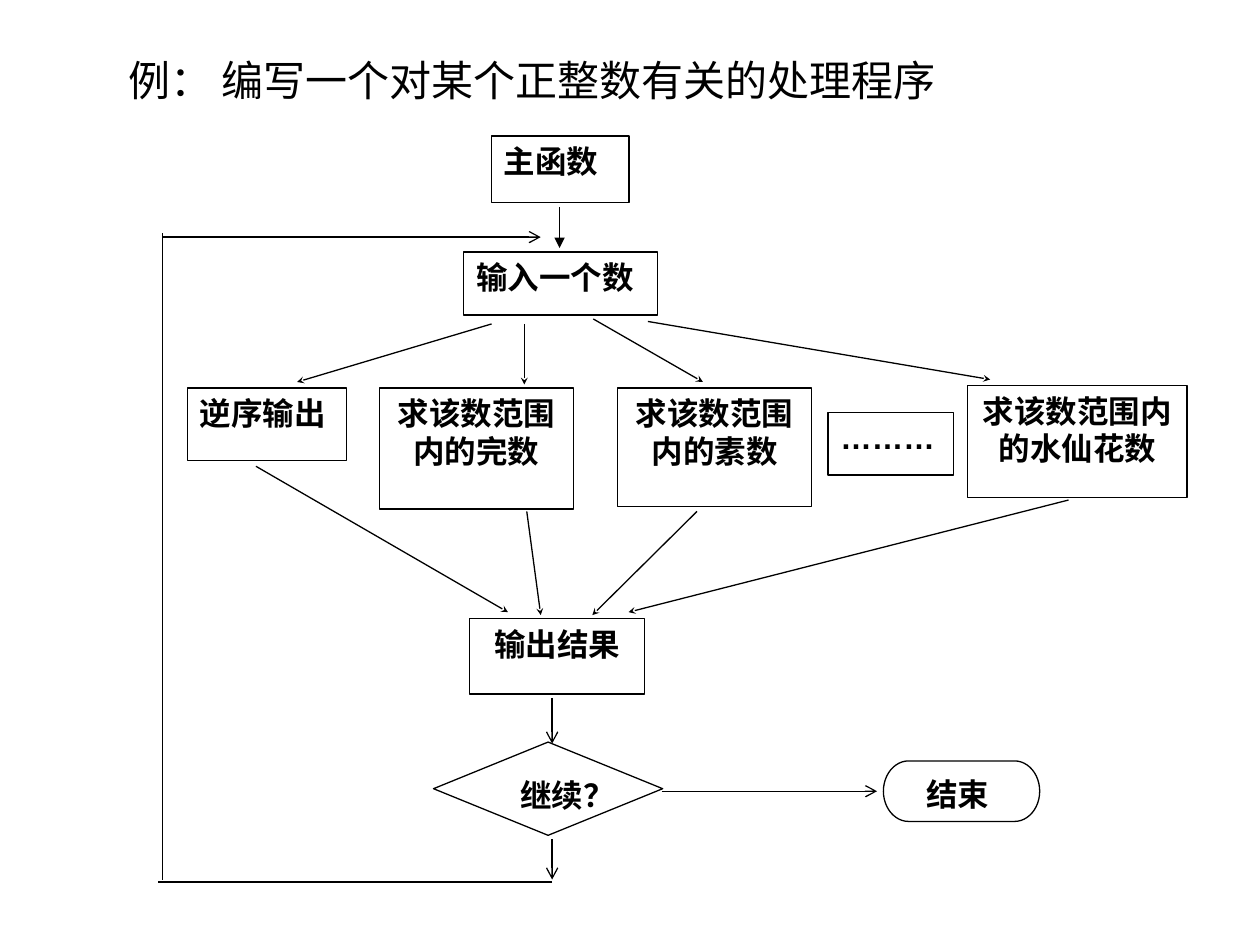
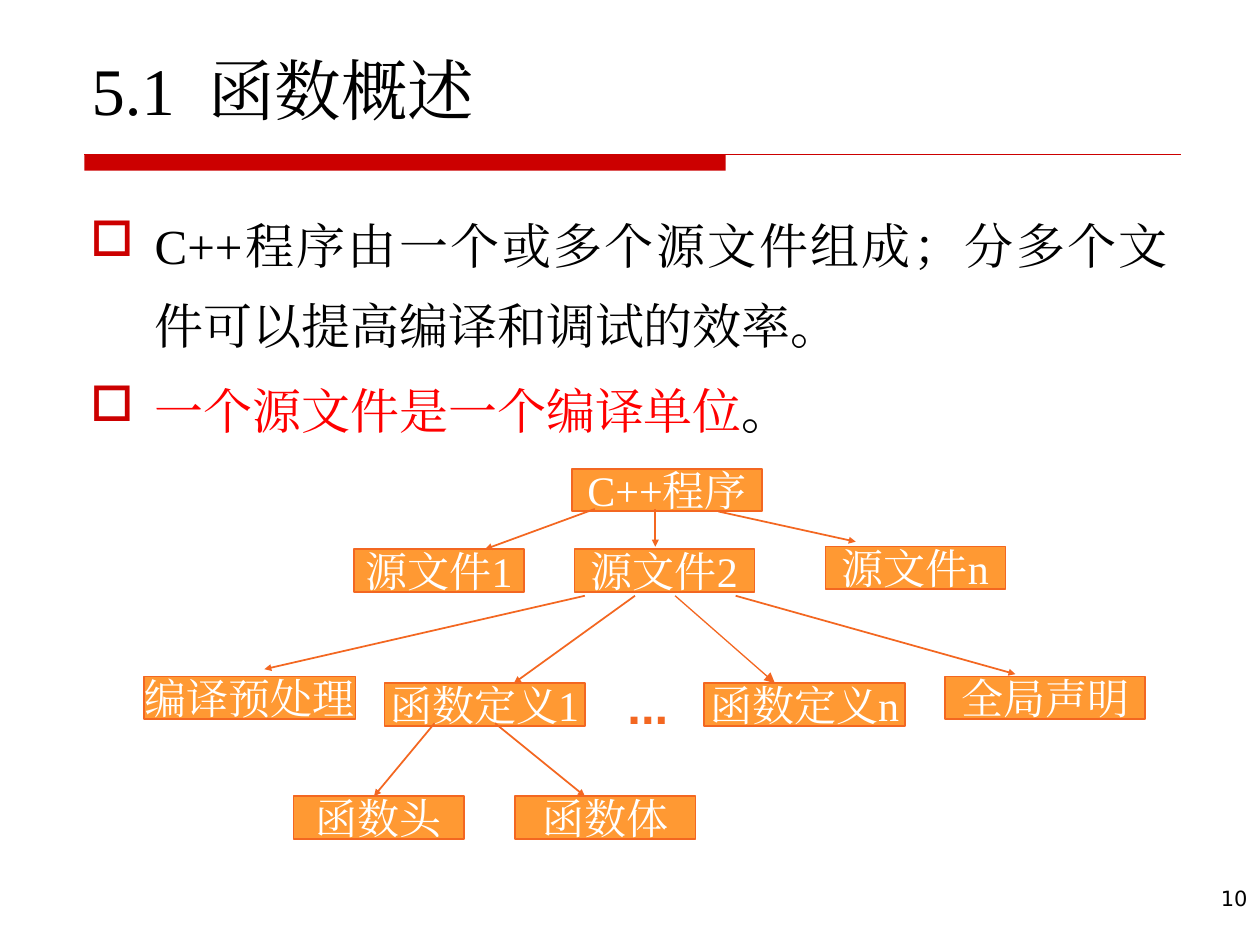
"""Build two slides: a flowchart for number processing and the structure of a C++ program."""
from lxml import etree
from pptx import Presentation
from pptx.dml.color import RGBColor
from pptx.enum import lang, shapes, text
from pptx.oxml import ns
from pptx.util import Cm, Pt

BLACK, WHITE, RED = "000000", "FFFFFF", "CC0000"
BRIGHT_RED, ORANGE, DARK_ORANGE = "FF0000", "FF9933", "F36721"
SERIF, SANS, CJK = "Times New Roman", "Arial", "Noto Sans CJK SC"
LEFT, CENTER = text.PP_ALIGN.LEFT, text.PP_ALIGN.CENTER
JUSTIFY, RIGHT = text.PP_ALIGN.JUSTIFY, text.PP_ALIGN.RIGHT
TOP, MIDDLE, BOTTOM = text.MSO_ANCHOR.TOP, text.MSO_ANCHOR.MIDDLE, text.MSO_ANCHOR.BOTTOM
SHAPE = shapes.MSO_SHAPE
colour = RGBColor.from_string


def add_box(slide, place, content="", kind=None, size=18, font=SANS, ink=BLACK, bold=False,
            align=JUSTIFY, anchor=TOP, wrap=True, fill=None, line=BLACK, weight=0.75):
    """Add a text box, or a preset shape if a kind is given."""
    lengths = [Cm(length) for length in place]
    if kind is None:
        shape = slide.shapes.add_textbox(*lengths)
    else:
        shape = slide.shapes.add_shape(kind, *lengths)
        shape.shadow.inherit = False
        shape.fill.background()
        if fill:
            shape.fill.solid()
            shape.fill.fore_color.rgb = colour(fill)
        shape.line.color.rgb = colour(line)
        shape.line.width = Pt(weight)
    frame = shape.text_frame
    frame.word_wrap = wrap
    frame.vertical_anchor = anchor
    frame.text = content
    for paragraph in frame.paragraphs:
        paragraph.alignment = align
        for run in paragraph.runs:
            run.font.size = Pt(size)
            run.font.bold = bold
            run.font.color.rgb = colour(ink)
            run.font.name = font
            run.font.language_id = lang.MSO_LANGUAGE_ID.SIMPLIFIED_CHINESE
            etree.SubElement(run.font._element, ns.qn("a:ea"), typeface=font)
    return shape


def add_line(slide, ends, ink=BLACK, weight=0.75, head=None, head_size="med"):
    """Add a straight line, with an arrowhead at its end if one is named."""
    line = slide.shapes.add_connector(
        shapes.MSO_CONNECTOR.STRAIGHT, *[Cm(length) for length in ends])
    line.line.color.rgb = colour(ink)
    line.line.width = Pt(weight)
    properties = line._element.spPr
    if head:
        etree.SubElement(properties.find(ns.qn("a:ln")), ns.qn("a:tailEnd"),
                         type=head, w=head_size, len=head_size)
    etree.SubElement(properties, ns.qn("a:effectLst"))


presentation = Presentation()
presentation.slide_width, presentation.slide_height = Cm(25.4), Cm(19.05)
blank = presentation.slide_layouts[6]

flowchart = presentation.slides.add_slide(blank)
add_box(flowchart, (2.34, 0.98, 20.12, 1.9), "例： 编写一个对某个正整数有关的处理程序",
        size=24, font=CJK, align=LEFT)

steps = [
    ((9.91, 2.74, 2.77, 1.35), "主函数", JUSTIFY),
    ((9.35, 5.08, 3.91, 1.27), "输入一个数", JUSTIFY),
    ((3.78, 7.82, 3.2, 1.47), "逆序输出", JUSTIFY),
    ((7.65, 7.82, 3.91, 2.44), "求该数范围内的完数", CENTER),
    ((12.45, 7.82, 3.91, 2.39), "求该数范围内的素数", CENTER),
    ((16.69, 8.31, 2.54, 1.27), "………", JUSTIFY),
    ((19.51, 7.77, 4.42, 2.26), "求该数范围内的水仙花数", CENTER),
    ((9.47, 12.47, 3.53, 1.52), "输出结果", CENTER),
]
for place, label, align in steps:
    add_box(flowchart, place, label, SHAPE.RECTANGLE, bold=True, align=align)

add_box(flowchart, (8.74, 14.96, 4.62, 1.88), kind=SHAPE.FLOWCHART_DECISION)
add_box(flowchart, (10.24, 15.52, 2.82, 1.4), "继续？", bold=True)
add_box(flowchart, (17.81, 15.34, 3.15, 1.22), kind=SHAPE.FLOWCHART_TERMINATOR)
add_box(flowchart, (18.42, 15.49, 2.36, 1.22), "结束", bold=True)

branches = [
    (9.91, 6.53, 5.99, 7.7),
    (10.57, 6.53, 10.57, 7.75),
    (11.96, 6.43, 14.17, 7.7),
    (13.06, 6.48, 19.96, 7.65),
    (5.16, 9.4, 10.24, 12.34),
    (10.62, 10.31, 10.9, 12.4),
    (14.05, 10.31, 11.94, 12.4),
    (21.54, 10.08, 12.67, 12.34),
]
for ends in branches:
    add_line(flowchart, ends, head="stealth", head_size="sm")

flow_lines = [
    ((11.28, 4.17, 11.28, 5), "triangle"),
    ((11.13, 14.07, 11.13, 14.99), "arrow"),
    ((11.13, 16.92, 11.13, 17.73), "arrow"),
    ((11.13, 17.78, 3.18, 17.78), None),
    ((3.28, 17.73, 3.28, 4.7), None),
    ((3.28, 4.78, 10.9, 4.78), "arrow"),
    ((13.34, 15.95, 17.68, 15.95), "arrow"),
]
for ends, head in flow_lines:
    add_line(flowchart, ends, head=head)

overview = presentation.slides.add_slide(blank)
band = add_box(overview, (1.7, 3.12, 12.93, 0.32), kind=SHAPE.RECTANGLE, fill=RED)
band.line.fill.background()
add_line(overview, (1.7, 3.12, 23.8, 3.12), RED)
add_box(overview, (19.96, 17.73, 5.44, 1.32), "10", size=12, font="DejaVu Sans", align=RIGHT)
add_box(overview, (1.6, 0.84, 22.23, 1.88), "5.1  函数概述", size=38, font=SERIF,
        align=LEFT, anchor=BOTTOM)

points = add_box(overview, (1.57, 3.81, 22.23, 13.79),
                 "C++程序由一个或多个源文件组成；分多个文件可以提高编译和调试的效率。\n"
                 "一个源文件是一个编译单位", size=28, font=SERIF)
first_point, second_point = points.text_frame.paragraphs
second_point.space_before = Pt(3.5)
for paragraph in (first_point, second_point):
    paragraph.line_spacing = 1.35
    properties = paragraph._p.get_or_add_pPr()
    properties.set("marL", str(Cm(1.3)))
    properties.set("indent", str(Cm(-1.3)))
    bullet_colour = etree.SubElement(properties, ns.qn("a:buClr"))
    etree.SubElement(bullet_colour, ns.qn("a:srgbClr"), val=RED)
    etree.SubElement(properties, ns.qn("a:buChar"), char="□")
second_point.runs[0].font.color.rgb = colour(BRIGHT_RED)
full_stop = second_point.add_run()
full_stop.text = "。"
full_stop.font.size = Pt(28)
full_stop.font.bold = True
full_stop.font.name = SERIF
full_stop.font.color.rgb = colour(BLACK)
full_stop.font.language_id = lang.MSO_LANGUAGE_ID.SIMPLIFIED_CHINESE
etree.SubElement(full_stop.font._element, ns.qn("a:ea"), typeface=SERIF)

tree_nodes = [
    (11.53, 9.45, 3.84, "C++程序"),
    (7.14, 11.07, 3.43, "源文件1"),
    (11.58, 11.07, 3.63, "源文件2"),
    (16.64, 11.02, 3.63, "源文件n"),
    (2.9, 13.64, 4.27, "编译预处理"),
    (7.75, 13.77, 4.04, "函数定义1"),
    (14.2, 13.77, 4.04, "函数定义n"),
    (19.05, 13.64, 4.04, "全局声明"),
    (5.92, 16.05, 3.43, "函数头"),
    (10.39, 16.05, 3.63, "函数体"),
]
for left, top, width, label in tree_nodes:
    add_box(overview, (left, top, width, 0.86), label, SHAPE.RECTANGLE, size=24, font=SERIF,
            ink=WHITE, align=CENTER, anchor=MIDDLE, wrap=False,
            fill=ORANGE, line=DARK_ORANGE, weight=1)
add_box(overview, (12.4, 13.49, 1.83, 1.45), "...", size=28, ink=DARK_ORANGE,
        bold=True, align=LEFT)

tree_arrows = [
    (11.99, 10.26, 9.78, 11.07),
    (13.21, 10.26, 13.21, 11.02),
    (14.48, 10.31, 17.25, 10.92),
    (11.79, 12.01, 5.33, 13.49),
    (12.8, 12.01, 10.36, 13.77),
    (14.83, 12.01, 20.47, 13.59),
    (8.76, 14.58, 7.54, 16.05),
    (9.98, 14.58, 11.79, 16.05),
]
for ends in tree_arrows:
    add_line(overview, ends, DARK_ORANGE, 1, "triangle", "sm")
add_line(overview, (13.61, 12.01, 15.62, 13.77), DARK_ORANGE, head="triangle")

presentation.save("out.pptx")
